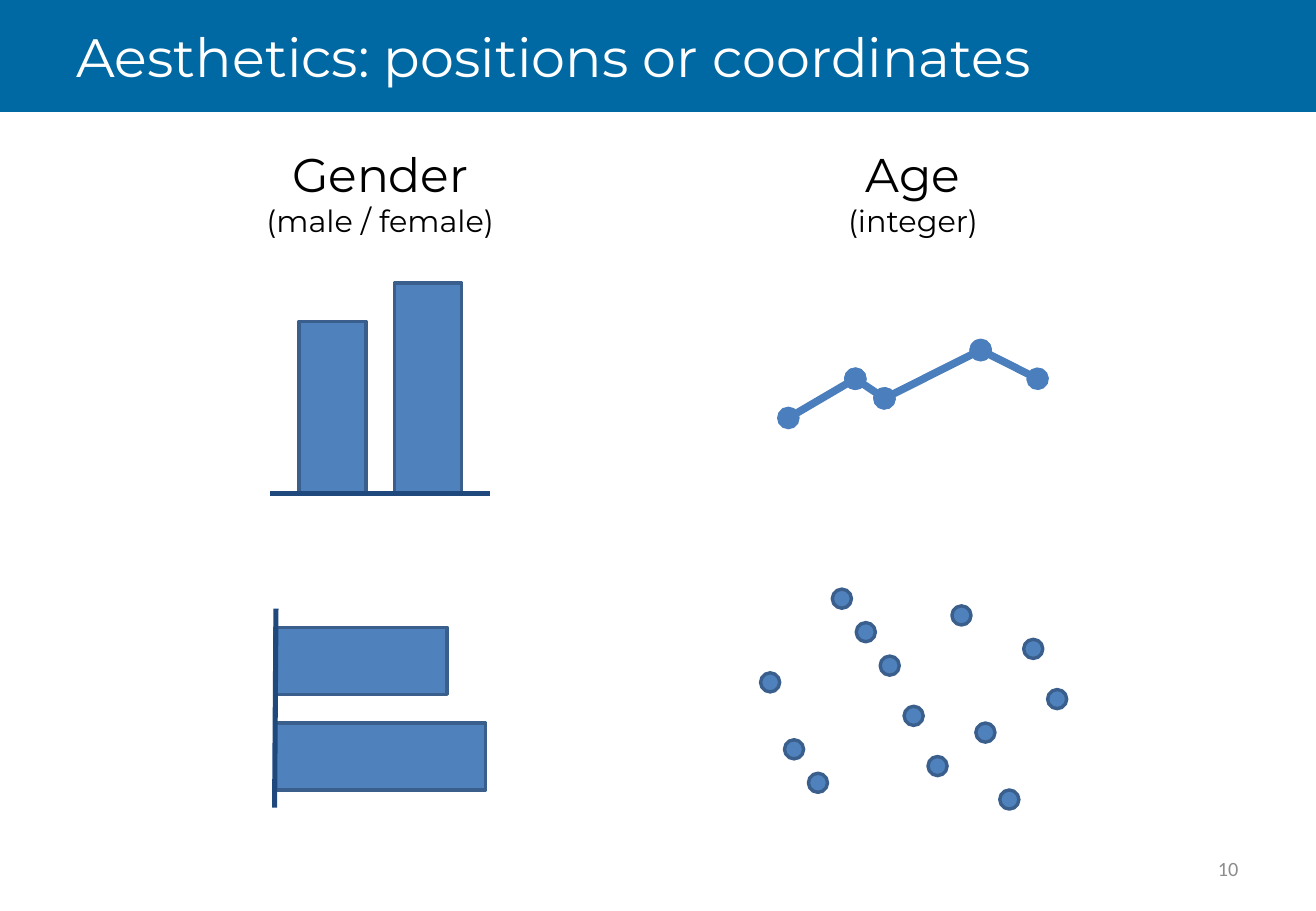
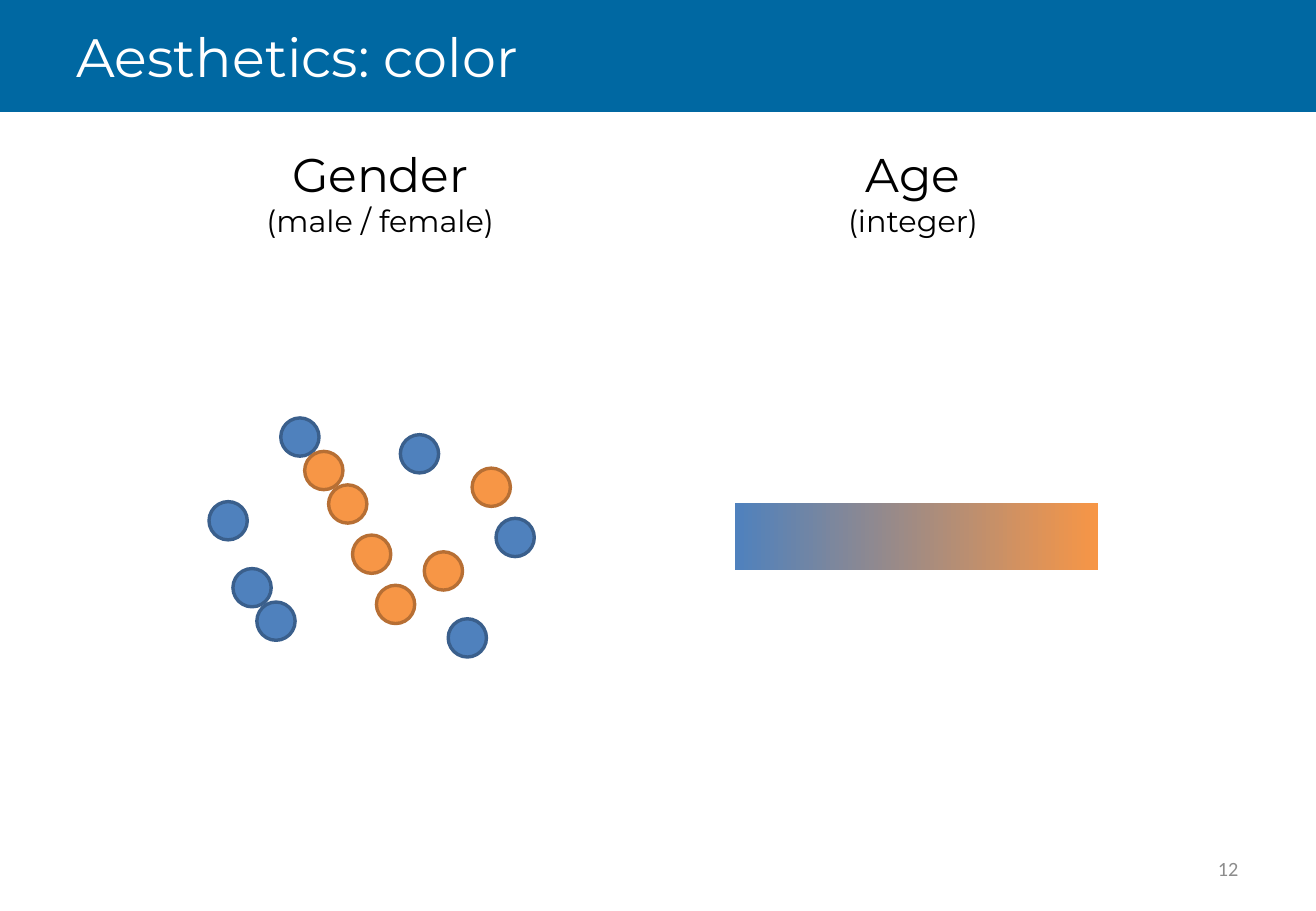
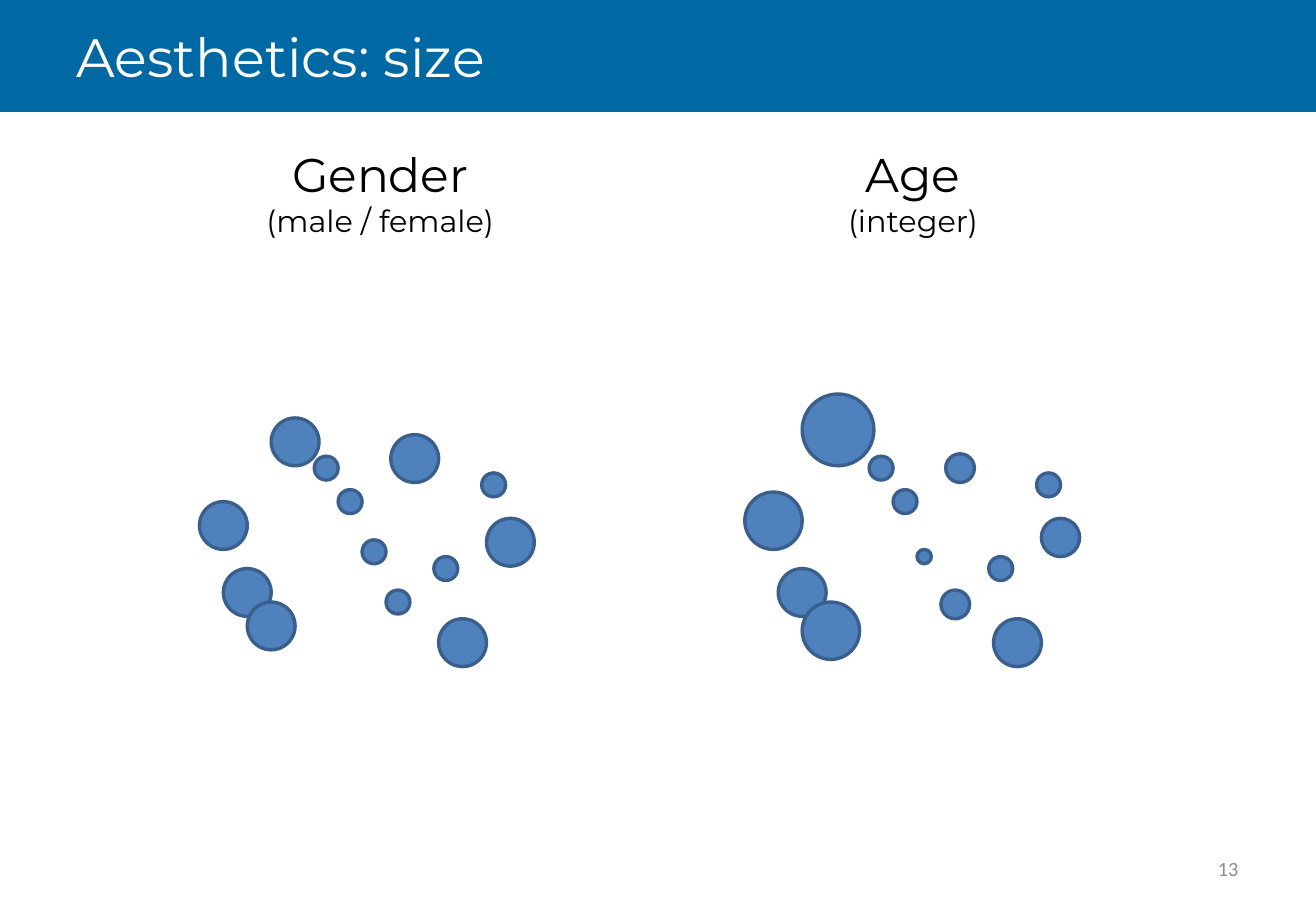
from itertools import pairwise

from lxml.etree import SubElement
from pptx import Presentation
from pptx.dml.color import RGBColor
from pptx.enum.shapes import MSO_CONNECTOR, MSO_SHAPE
from pptx.enum.text import MSO_ANCHOR, MSO_AUTO_SIZE, PP_ALIGN
from pptx.oxml.ns import qn
from pptx.util import Cm, Pt

COLORS = {
    "band": "0068A2",
    "white": "FFFFFF",
    "black": "000000",
    "gray": "8C8C8C",
    "blue": "4F81BD",
    "blue edge": "3A5F8C",
    "orange": "F79646",
    "orange edge": "B76F34",
    "trend": "4B7EBC",
    "axis": "1F497D",
}
WIDTH, HEIGHT, BAND_HEIGHT = 27.51, 19.05, 2.34
COLUMN_STEP, ROW_STEP = 0.5, 0.35
DOT_ROWS = [5, 9, 11, 0, 2, 4, 7, 10, 1, 8, 12, 3, 6]
BAR_BREADTH, BAR_PITCH, BAR_LENGTHS = 1.4, 2, [3.6, 4.4]
GENDER_LEFT, AGE_LEFT, DOTS_TOP = 4.37, 15.97, 8.74


def rgb(name):
    return RGBColor.from_string(COLORS[name])


class Deck:
    """Holds the shared style and the current slide."""

    def __init__(self):
        self.presentation = Presentation()
        self.presentation.slide_width = Cm(WIDTH)
        self.presentation.slide_height = Cm(HEIGHT)
        self.slide = None

    def start(self, title, number):
        self.slide = self.presentation.slides.add_slide(self.presentation.slide_layouts[6])
        self.shape((0, 0, WIDTH, BAND_HEIGHT), "band")
        self.text((1.35, 0, 24.77, BAND_HEIGHT), [(title, 32)], "white", anchor=MSO_ANCHOR.MIDDLE)
        self.text((19.71, 17.65, 6.43, 1.02), [(number, 12)], "gray", "Calibri",
                  PP_ALIGN.RIGHT, MSO_ANCHOR.MIDDLE)
        self.heading(5.23, 5.44, "Gender", "(male / female)")
        self.heading(17.42, 3.33, "Age", "(integer)")

    def text(self, box, lines, color, font="Montserrat", align=PP_ALIGN.LEFT,
             anchor=MSO_ANCHOR.TOP, wrap=True):
        frame = self.slide.shapes.add_textbox(*map(Cm, box)).text_frame
        frame.word_wrap = wrap
        frame.auto_size = MSO_AUTO_SIZE.NONE if wrap else MSO_AUTO_SIZE.SHAPE_TO_FIT_TEXT
        frame.vertical_anchor = anchor
        for index, (words, size) in enumerate(lines):
            paragraph = frame.add_paragraph() if index else frame.paragraphs[0]
            paragraph.alignment = align
            run = paragraph.add_run()
            run.text = words
            run.font.name = font
            run.font.size = Pt(size)
            run.font.color.rgb = rgb(color)

    def heading(self, left, width, name, kind):
        self.text((left, 2.92, width, 2.24), [(name, 28), (kind, 18)], "black",
                  align=PP_ALIGN.CENTER, wrap=False)

    def shape(self, box, fill, edge=None, kind=MSO_SHAPE.RECTANGLE):
        shape = self.slide.shapes.add_shape(kind, *map(Cm, box))
        shape.shadow.inherit = False
        shape.fill.solid()
        shape.fill.fore_color.rgb = rgb(fill)
        if edge:
            shape.line.color.rgb = rgb(edge)
            shape.line.width = Pt(2)
        else:
            shape.line.fill.background()
        return shape

    def gradient(self, box, *names):
        fill = self.shape(box, names[0]).fill
        fill.gradient()
        fill.gradient_angle = 0
        for stop, name in zip(fill.gradient_stops, names):
            stop.color.rgb = rgb(name)

    def line(self, start, end, color, width, ends=None):
        connector = self.slide.shapes.add_connector(
            MSO_CONNECTOR.STRAIGHT, *map(Cm, (*start, *end)))
        connector.line.color.rgb = rgb(color)
        connector.line.width = Pt(width)
        properties = connector._element.spPr
        if ends:
            outline = properties.find(qn("a:ln"))
            for tag in ("a:headEnd", "a:tailEnd"):
                SubElement(outline, qn(tag)).set("type", ends)
        SubElement(properties, qn("a:effectLst"))

    def trend(self, points):
        for start, end in pairwise(points):
            self.line(start, end, "trend", 4.5, "oval")

    def columns(self, left, base):
        for index, length in enumerate(BAR_LENGTHS):
            self.shape((left + index * BAR_PITCH, base - length, BAR_BREADTH, length),
                       "blue", "blue edge")
        self.line((left - 0.61, base), (left + 3.99, base), "axis", 3)

    def bars(self, base, top):
        for index, length in enumerate(BAR_LENGTHS):
            self.shape((base, top + index * BAR_PITCH, length, BAR_BREADTH),
                       "blue", "blue edge")
        self.line((base + 0.02, top - 0.39), (base - 0.01, top + 3.77), "axis", 3)

    def dots(self, left, top, sizes, orange=()):
        for column, (row, (size, right, down)) in enumerate(zip(DOT_ROWS, sizes)):
            color = "orange" if column in orange else "blue"
            box = (left + column * COLUMN_STEP + right, top + row * ROW_STEP + down, size, size)
            self.shape(box, color, f"{color} edge", MSO_SHAPE.OVAL)


def main():
    deck = Deck()
    count = len(DOT_ROWS)
    second_gender = {4, 5, 6, 7, 9, 11}

    deck.start("Aesthetics: positions or coordinates", "10")
    deck.trend([(16.48, 8.74), (17.88, 7.92), (18.49, 8.33), (20.5, 7.32), (21.69, 7.92)])
    deck.dots(15.9, 12.32, [(0.4, 0, 0)] * count)
    deck.columns(6.25, 10.32)
    deck.bars(5.75, 13.12)

    deck.start("Aesthetics: color", "12")
    deck.dots(GENDER_LEFT, DOTS_TOP, [(0.8, 0, 0)] * count, second_gender)
    deck.gradient((15.37, 10.52, 7.59, 1.4), "blue", "orange")

    deck.start("Aesthetics: size", "13")
    large, small = (1, -0.2, 0), (0.5, 0.2, 0.1)
    deck.dots(GENDER_LEFT, DOTS_TOP,
              [small if column in second_gender else large for column in range(count)])
    deck.dots(AGE_LEFT, DOTS_TOP, [
        (1.2, -0.4, -0.2), large, (1.2, -0.2, 0), (1.5, -0.7, -0.5), small, small,
        (0.3, 0.2, 0.3), (0.6, 0.2, 0.1), (0.6, -0.2, 0.4), small, large, small,
        (0.8, -0.2, 0),
    ])

    deck.presentation.save("out.pptx")


if __name__ == "__main__":
    main()
